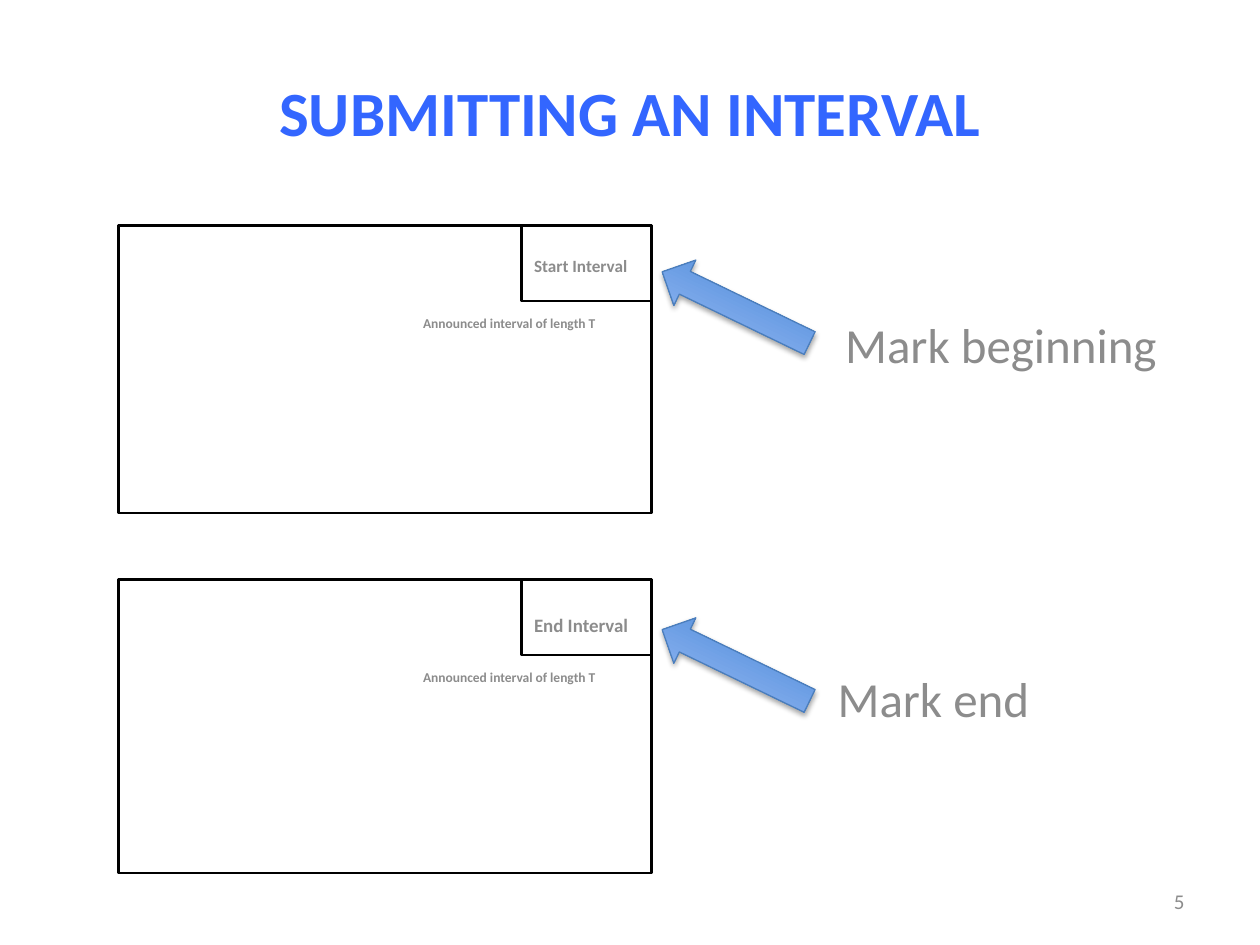
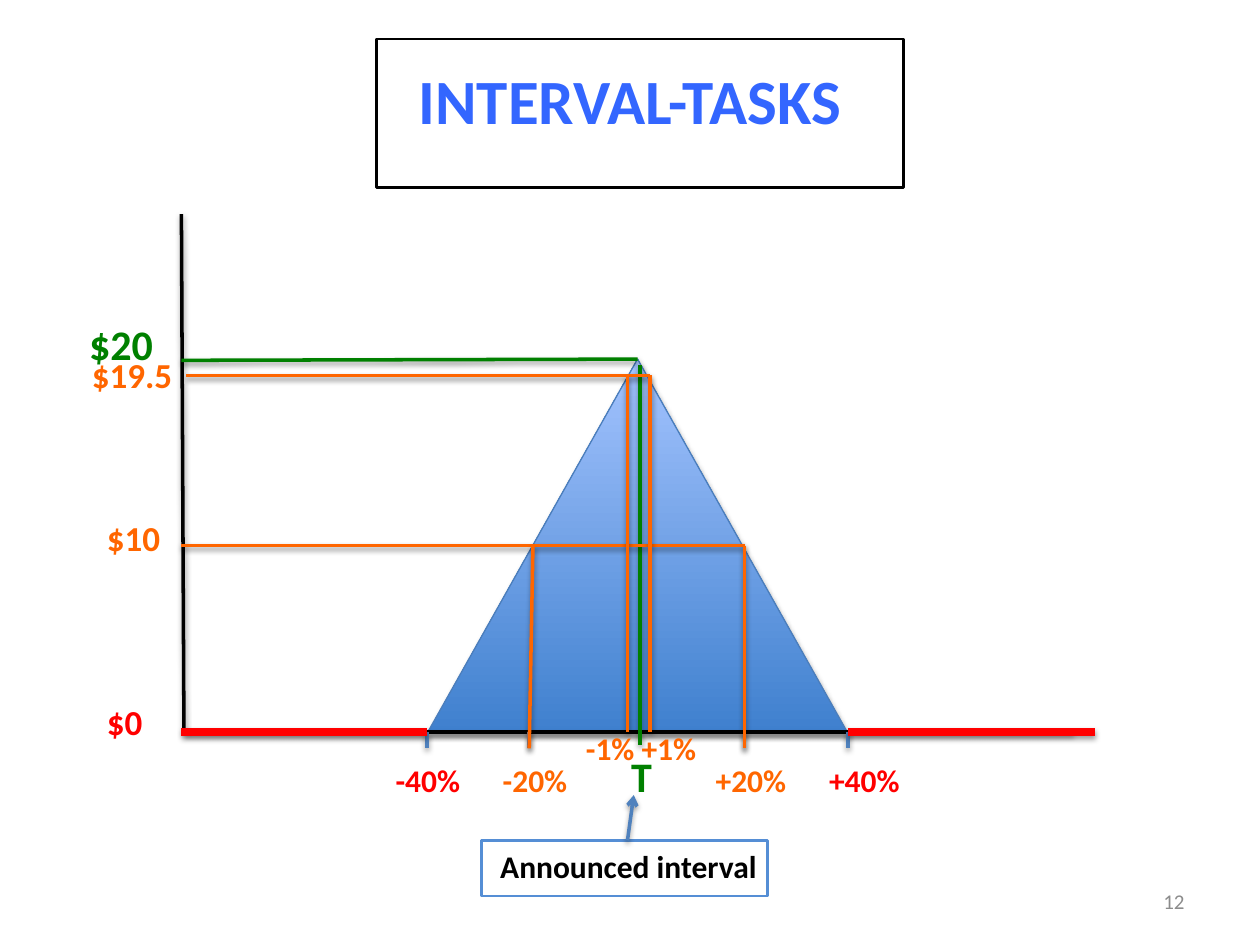
from dataclasses import dataclass

from lxml.etree import SubElement
from pptx import Presentation
from pptx.dml.color import RGBColor as RGB
from pptx.enum.shapes import MSO_CONNECTOR as CONN, MSO_SHAPE as SHAPE
from pptx.enum.text import MSO_ANCHOR as ANCHOR, PP_ALIGN as ALIGN
from pptx.oxml.ns import qn
from pptx.util import Emu, Inches, Pt

COLS, ROWS = 100, 75  # grid over the 10 x 7.5 inch slide


@dataclass(frozen=True)
class Theme:
    font: str = "Calibri"
    title: str = "3366FF"
    grey: str = "8C8C8C"
    black: str = "000000"
    green: str = "008000"
    orange: str = "FF6600"
    red: str = "FF0000"
    tick: str = "4F81BD"
    frame: str = "558ED5"
    edge: str = "4B7EBC"
    dark: str = "3F80CE"
    light: str = "A4C4FF"
    title_size: float = 36
    lead_size: float = 28
    peak_size: float = 24
    value_size: float = 20
    label_size: float = 18
    number_size: float = 12
    note_size: float = 7.7
    frame_width: float = 1.45
    line_width: float = 2
    heavy_width: float = 4.5


T = Theme()


def add_run(p, text, size=T.label_size, color=T.black, bold=True):
    """Append formatted text to a paragraph."""
    r = p.add_run()
    r.text = text
    r.font.name, r.font.size, r.font.bold = T.font, Pt(size), bold
    r.font.color.rgb = RGB.from_string(color)


def set_shadow(sp, alpha, blur, dist):
    """Give a shape or connector a soft shadow straight below it."""
    fx = SubElement(sp.element.spPr, qn("a:effectLst"))
    shadow = SubElement(fx, qn("a:outerShdw"), blurRad=str(Pt(blur)), dist=str(Pt(dist)),
                        dir="5400000", rotWithShape="0")
    clr = SubElement(shadow, qn("a:srgbClr"), val=T.black)
    SubElement(clr, qn("a:alpha"), val=str(alpha * 1000))


class Deck:
    def __init__(self):
        self.prs = Presentation()
        self.prs.slide_width, self.prs.slide_height = Inches(10), Inches(7.5)
        self.slide = None

    def col(self, n):
        return Emu(round(self.prs.slide_width * n / COLS))

    def row(self, n):
        return Emu(round(self.prs.slide_height * n / ROWS))

    def box(self, c, r, w, h):
        return self.col(c), self.row(r), self.col(w), self.row(h)

    def new_slide(self, title, number, title_row):
        self.slide = self.prs.slides.add_slide(self.prs.slide_layouts[6])
        self.text(title, 7.5, title_row, 85, 16.1, align=ALIGN.CENTER, anchor=ANCHOR.MIDDLE,
                  size=T.title_size, color=T.title)
        self.text(str(number), 71.7, 69.5, 23.3, 4, align=ALIGN.RIGHT, anchor=ANCHOR.MIDDLE,
                  size=T.number_size, color=T.grey, bold=False)

    def text(self, text, c, r, w, h, align=ALIGN.LEFT, anchor=ANCHOR.TOP, inset=1, **fmt):
        tf = self.slide.shapes.add_textbox(*self.box(c, r, w, h)).text_frame
        tf.word_wrap, tf.vertical_anchor = True, anchor
        tf.margin_left = self.col(inset)
        p = tf.paragraphs[0]
        p.alignment = align
        if text:
            add_run(p, text, **fmt)
        return p

    def tabbed(self, parts, c, r, w, h):
        """One line of (column, text, format) parts, each at its own tab stop."""
        p = self.text("", c, r, w, h, inset=0)
        tabs = SubElement(p._p.get_or_add_pPr(), qn("a:tabLst"))
        for stop, text, fmt in parts:
            SubElement(tabs, qn("a:tab"), pos=str(self.col(stop - c)), algn="l")
            add_run(p, "\t" + text, **fmt)

    def shape(self, kind, c, r, w, h, color, width):
        sp = self.slide.shapes.add_shape(kind, *self.box(c, r, w, h))
        sp.line.color.rgb, sp.line.width = RGB.from_string(color), Pt(width)
        return sp

    def frame(self, c, r, w, h, color=T.black):
        sp = self.shape(SHAPE.RECTANGLE, c, r, w, h, color, T.frame_width)
        sp.fill.background()
        sp.shadow.inherit = False

    def shaded(self, kind, c, r, w, h, rotation=0):
        sp = self.shape(kind, c, r, w, h, T.edge, 0.75)
        sp.rotation = rotation
        sp.fill.gradient()
        sp.fill.gradient_angle = 90
        for stop, color in zip(sp.fill.gradient_stops, (T.dark, T.light)):
            stop.color.rgb = RGB.from_string(color)
        set_shadow(sp, 35, 3.1, 1.8)

    def line(self, c1, r1, c2, r2, color, width=T.line_width, arrow=False):
        sp = self.slide.shapes.add_connector(CONN.STRAIGHT, self.col(c1), self.row(r1),
                                             self.col(c2), self.row(r2))
        sp.line.color.rgb, sp.line.width = RGB.from_string(color), Pt(width)
        if arrow:
            SubElement(sp.element.spPr.find(qn("a:ln")), qn("a:tailEnd"), type="arrow")
        set_shadow(sp, 38, 3.1, 1.6)


def submitting_slide(d):
    d.new_slide("SUBMITTING AN INTERVAL", 5, 0.8)
    # Screen panels: top, height, button, its size and row, arrow row, lead text and column
    panels = (
        (17.9, 22.8, "Start Interval", 9.8, 19.8, 22.4, "Mark beginning", 66.1),
        (46, 23.3, "End Interval", 10.8, 48.2, 50.8, "Mark end", 65.5),
    )
    for top, height, button, size, button_row, arrow_row, lead, lead_col in panels:
        d.frame(9.4, top, 42.3, height)
        d.frame(41.4, top, 10.3, 6)
        d.text(button, 41.4, button_row, 11, 2.6, size=size, color=T.grey)
        d.text("Announced interval of length T", 32.6, top + 6.6, 17.6, 2.9,
               size=T.note_size, color=T.grey)
        d.shaded(SHAPE.RIGHT_ARROW, 51.9, arrow_row, 13, 4, rotation=205.8)
        d.text(lead, lead_col, top + 6.6, 32.9, 7.1, size=T.lead_size, color=T.grey, bold=False)


def tasks_slide(d):
    axis, base, tick_end = 14.4, 58.1, 59.4
    far_left, left, near_left, near_right, right, far_right = 33.9, 42, 49.8, 51.6, 59.1, 67.3
    peak, near, half = 28.5, 29.8, 43.3

    # Payoff triangle and axes
    d.new_slide("INTERVAL-TASKS", 12, -0.2)
    d.frame(29.9, 3.1, 41.8, 11.8)
    d.shaded(SHAPE.ISOSCELES_TRIANGLE, far_left, peak, far_right - far_left, base - peak + 0.1)
    d.line(axis, 17, axis + 0.2, base, T.black)
    d.line(axis + 0.4, base, 85.1, base, T.black)

    # Peak, ticks and zero-payoff ranges
    d.line(50.8, 59.1, 50.8, 29, T.green)
    d.line(50.6, peak, axis, peak + 0.1, T.green)
    for x in (far_left, left, right, far_right):
        d.line(x, base, x, tick_end, T.tick)
    for start, end in ((86.9, far_right), (far_left, axis)):
        d.line(start, base, end, base, T.red, T.heavy_width)

    # Payoff guides
    for start, end, y in ((right, axis, half), (near_right, axis + 0.4, near)):
        d.line(start, y, end, y, T.orange)
    for x1, y, x2, end in ((left + 0.3, half, left, tick_end), (right, half, right, tick_end),
                           (near_left, near, near_left, base),
                           (near_right, near, near_right, base)):
        d.line(x1, y, x2, end, T.orange)

    # Payoff labels
    for text, c, r, inset, size, color in (
            ("$20", 6.1, 24.8, 1, T.peak_size, T.green),
            ("$19.5", 5, 27.6, 2.3, T.value_size, T.orange),
            ("$10", 7.5, 40.5, 1, T.value_size, T.orange),
            ("$0", 7.5, 55.1, 1, T.value_size, T.red)):
        d.text(text, c, r, 11, 4.4, inset=inset, size=size, color=color)

    # Deviation labels
    red, orange = {"color": T.red}, {"color": T.orange}
    d.tabbed(((31.4, "-40%", red), (39.9, "-20%", orange),
              (50.1, "T", {"color": T.green, "size": T.peak_size}),
              (56.8, "+20%", orange), (65.8, "+40%", red)), 23.7, 59.1, 54.6, 5)
    d.text("-1% +1%", 44.4, 57.4, 13.2, 4, inset=2.1, color=T.orange)

    # Announced interval callout
    d.frame(38.2, 66.7, 22.7, 4.4, T.frame)
    d.text("Announced interval", 38.2, 66.7, 23.2, 4, inset=1.5)
    d.line(49.8, 66.7, 50.3, 63.1, T.tick, arrow=True)


def main():
    d = Deck()
    submitting_slide(d)
    tasks_slide(d)
    d.prs.save("out.pptx")


if __name__ == "__main__":
    main()
